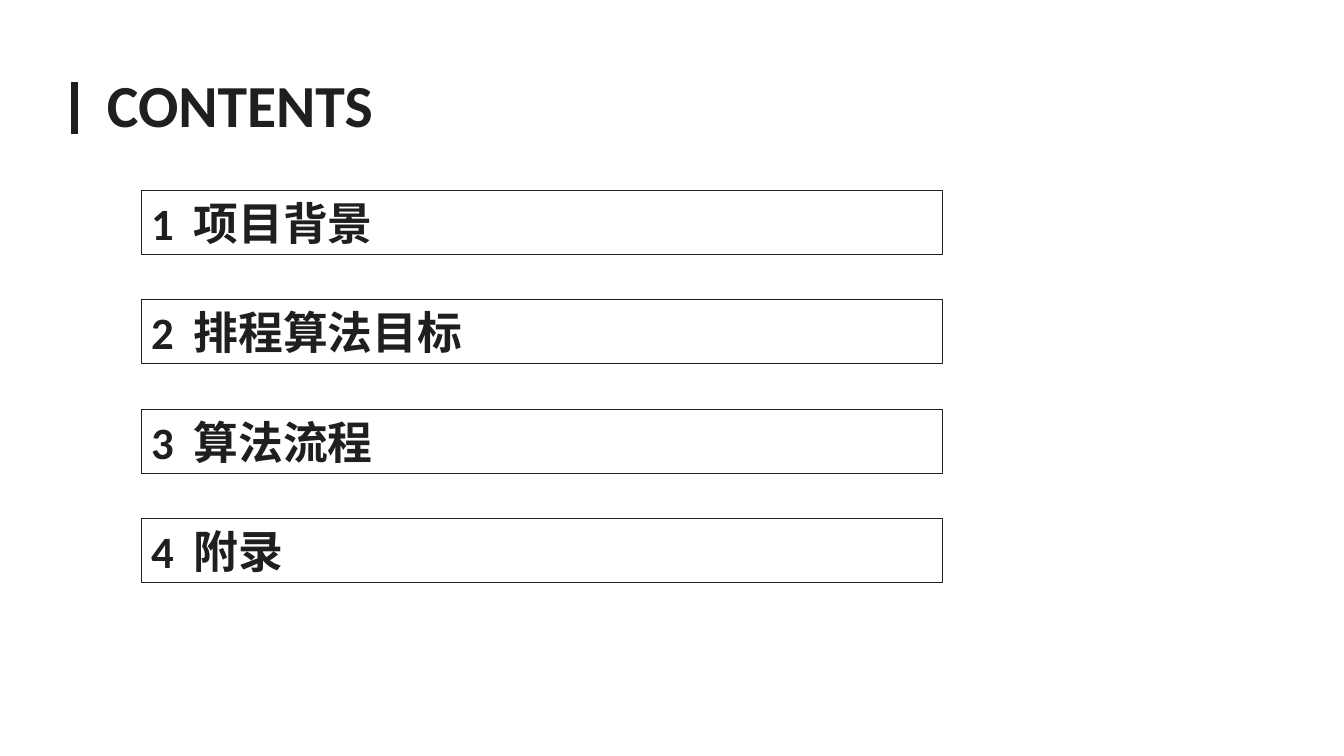
from dataclasses import dataclass

from lxml.etree import SubElement
from pptx import Presentation
from pptx.dml.color import RGBColor
from pptx.enum.shapes import MSO_CONNECTOR as Connector, MSO_SHAPE as Preset
from pptx.enum.text import MSO_ANCHOR as Anchor, MSO_AUTO_SIZE as AutoSize, PP_ALIGN as Align
from pptx.oxml.ns import qn
from pptx.slide import Slide
from pptx.text.text import TextFrame, _Paragraph as Paragraph
from pptx.util import Emu, Pt

INK = "1F1F1F"
FONT = "Calibri"
FIRST_TOP, LAST_TOP = 189, 514
NUMBER_WIDTH = 42


@dataclass(frozen=True)
class Entry:
    number: int
    heading: str


ENTRIES = [
    Entry(1, "项目背景"),
    Entry(2, "排程算法目标"),
    Entry(3, "算法流程"),
    Entry(4, "附录"),
]


def px(count: int) -> Emu:
    """Convert px, 100 to the inch, into EMU."""
    return Emu(count * 9144)


def color(hex_text: str) -> RGBColor:
    return RGBColor.from_string(hex_text)


def write_text(frame: TextFrame, text: str, size: float) -> Paragraph:
    frame.auto_size = AutoSize.NONE
    frame.vertical_anchor = Anchor.MIDDLE
    para = frame.paragraphs[0]
    para.alignment = Align.LEFT
    span = para.add_run()
    span.text = text
    span.font.name = FONT
    span.font.size = Pt(size)
    span.font.bold = True
    span.font.color.rgb = color(INK)
    return para


def add_title(page: Slide) -> None:
    title = page.shapes.title
    title.left, title.top, title.width, title.height = px(96), px(62), px(285), px(82)
    write_text(title.text_frame, "CONTENTS", 42.6)
    title.text_frame.word_wrap = False


def add_title_bar(page: Slide) -> None:
    bar = page.shapes.add_connector(Connector.STRAIGHT, px(74), px(81), px(74), px(133))
    bar.line.color.rgb = color(INK)
    bar.line.width = Pt(4.5)
    SubElement(bar._element.spPr, qn("a:effectLst"))


def add_entry(page: Slide, entry: Entry, top: int) -> None:
    box = page.shapes.add_shape(Preset.RECTANGLE, px(140), px(top), px(795), px(64))
    box.shadow.inherit = False
    box.fill.background()
    box.line.color.rgb = color(INK)
    box.line.width = Pt(0.75)
    para = write_text(box.text_frame, f"{entry.number}\t{entry.heading}", 32)
    # A hanging indent sets the heading apart from its number.
    properties = para._p.get_or_add_pPr()
    properties.set("marL", str(px(NUMBER_WIDTH)))
    properties.set("indent", str(-px(NUMBER_WIDTH)))


def main() -> None:
    deck = Presentation()
    deck.slide_width, deck.slide_height = px(1333), px(750)
    page = deck.slides.add_slide(deck.slide_layouts.get_by_name("Title Only"))
    add_title(page)
    add_title_bar(page)
    pitch = (LAST_TOP - FIRST_TOP) / (len(ENTRIES) - 1)
    for index, entry in enumerate(ENTRIES):
        add_entry(page, entry, round(FIRST_TOP + index * pitch))
    deck.save("out.pptx")


if __name__ == "__main__":
    main()
